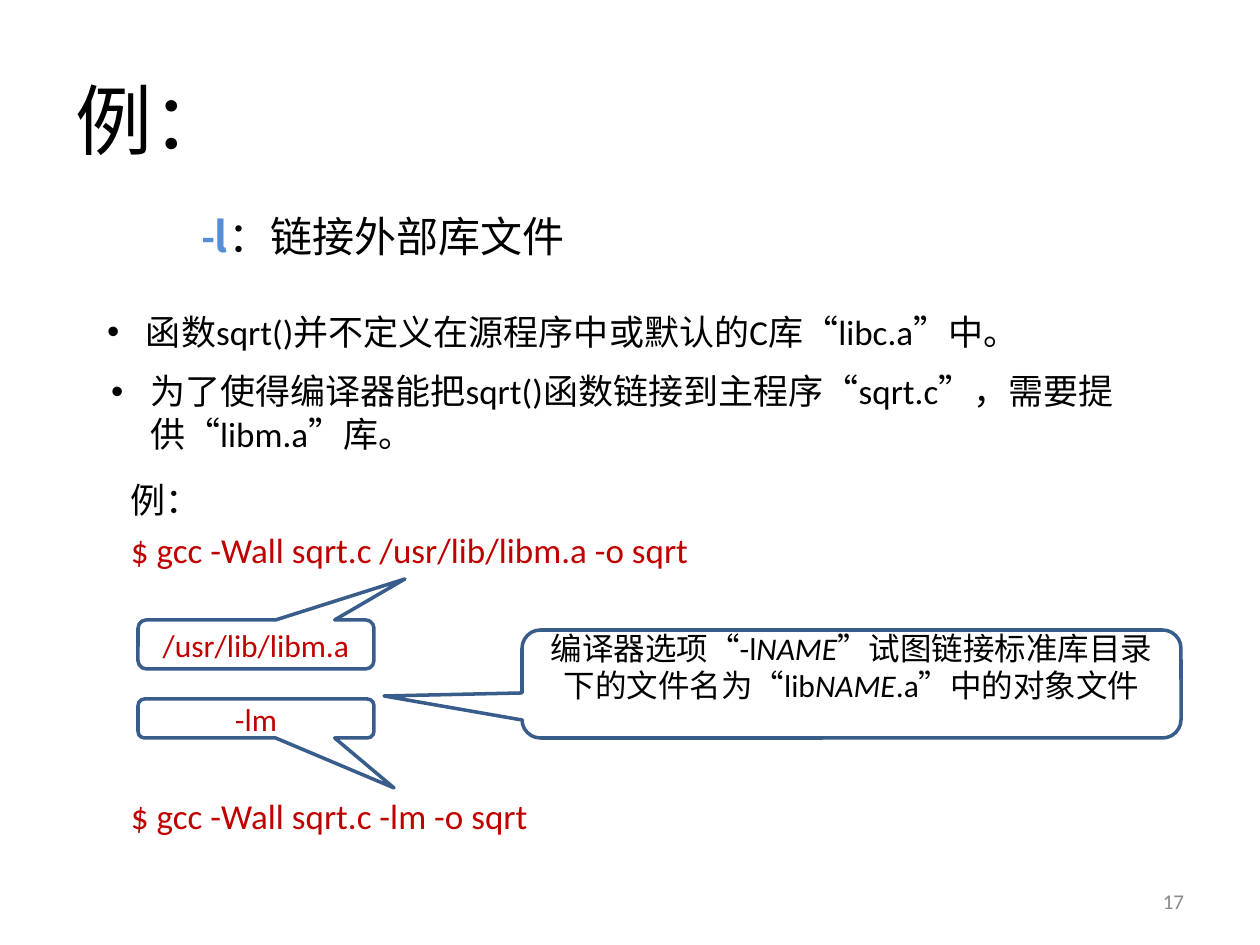
"""Build the slide on linking an outside library with the -l option."""
import pptx
import pptx.util
import pptx.dml.color
import pptx.enum.lang
import pptx.enum.shapes
import pptx.enum.text
import pptx.oxml
import pptx.oxml.ns

RGB = pptx.dml.color.RGBColor
BLACK = RGB(0, 0, 0)
RED = RGB(0xC0, 0, 0)
BLUE = RGB(0x55, 0x8E, 0xD5)
EDGE = RGB(0x38, 0x5D, 0x8A)
GREY = RGB(0x89, 0x89, 0x89)
ALIGN = pptx.enum.text.PP_ALIGN
ANCHOR = pptx.enum.text.MSO_ANCHOR
CHINESE = pptx.enum.lang.MSO_LANGUAGE_ID.SIMPLIFIED_CHINESE
SCALE = 914400 / 126


def emu(px):
    """Turn px into EMU."""
    return pptx.util.Emu(round(px * SCALE))


def write(frame, *paras, size=20, font="Calibri", color=BLACK, align=ALIGN.LEFT,
          anchor=ANCHOR.TOP, margins=(13, 6, 13, 6), indent=None, bullet=False,
          spacing=None):
    """Write paragraphs, each a list of (text, format) runs, into a text frame."""
    frame.word_wrap = True
    frame.vertical_anchor = anchor
    (frame.margin_left, frame.margin_top,
     frame.margin_right, frame.margin_bottom) = map(emu, margins)
    for index, runs in enumerate(paras):
        para = frame.add_paragraph() if index else frame.paragraphs[0]
        para.alignment = align
        props = para._p.get_or_add_pPr()
        if index:
            para.space_before = pptx.util.Pt(5)
        if spacing:
            para.line_spacing = spacing
        if indent:
            left, first = indent
            props.set("marL", str(emu(left)))
            props.set("indent", str(emu(first)))
        if bullet:
            for tag, key, value in (("buFont", "typeface", "Arial"), ("buChar", "char", "•")):
                mark = pptx.oxml.parse_xml(
                    f'<a:{tag} {pptx.oxml.ns.nsdecls("a")} {key}="{value}"/>')
                props.append(mark)
        for words, style in runs:
            run = para.add_run()
            run.text = words
            run.font.size = pptx.util.Pt(size)
            run.font.name = style.get("font", font)
            run.font.color.rgb = style.get("color", color)
            run.font.bold = style.get("bold", False)
            run.font.italic = style.get("italic", False)
            run.font.language_id = CHINESE


class Deck:
    """Hold the style and the current slide."""

    def __init__(self, wide, high):
        """Start a deck with one blank slide."""
        self.file = pptx.Presentation()
        self.file.slide_width = emu(wide)
        self.file.slide_height = emu(high)
        self.slide = self.file.slides.add_slide(self.file.slide_layouts[6])
        self.edge, self.width = EDGE, pptx.util.Pt(2)

    def text(self, box, *paras, **style):
        """Add a text box."""
        shape = self.slide.shapes.add_textbox(*map(emu, box))
        write(shape.text_frame, *paras, **style)

    def point(self, box, words):
        """Add a bullet point."""
        self.text(box, [(words, {})], indent=(39, -39), bullet=True)

    def callout(self, box, tip, runs, **style):
        """Add a rounded callout whose tail ends at the tip."""
        shape = self.slide.shapes.add_shape(
            pptx.enum.shapes.MSO_SHAPE.ROUNDED_RECTANGULAR_CALLOUT, *map(emu, box))
        shape.shadow.inherit = False
        shape.fill.background()
        shape.line.color.rgb = self.edge
        shape.line.width = self.width
        left, top, wide, high = box
        shape.adjustments[0] = (tip[0] - left) / wide - 0.5
        shape.adjustments[1] = (tip[1] - top) / high - 0.5
        shape.adjustments[2] = 0.17
        write(shape.text_frame, runs, size=18, align=ALIGN.CENTER,
              anchor=ANCHOR.MIDDLE, **style)

    def save(self):
        """Save the deck."""
        self.file.save("out.pptx")


def main():
    """Build and save the slide."""
    deck = Deck(1260, 945)
    option = {"color": BLUE, "bold": True}
    name = {"italic": True}

    deck.text((63, 63, 1134, 112), [("例：", {})], size=44, font="Arial",
              anchor=ANCHOR.MIDDLE)
    deck.text((126, 214, 1134, 55),
              [("-", option), ("l", {**option, "font": "Noto Sans CJK SC"}),
               ("：链接外部库文件", {})],
              size=24, indent=(102, -39), spacing=0.8)
    deck.point((94, 304, 1113, 59), "函数sqrt()并不定义在源程序中或默认的C库“libc.a”中。")
    deck.point((98, 364, 1113, 98),
               "为了使得编译器能把sqrt()函数链接到主程序“sqrt.c”，需要提供“libm.a”库。")
    deck.text((118, 472, 591, 108), [("例：", {})],
              [("$ gcc -Wall sqrt.c /usr/lib/libm.a -o sqrt", {"color": RED})])
    deck.callout((138, 620, 236, 49), (405, 579), [("/usr/lib/libm.a", {})], color=RED)
    deck.callout((138, 699, 236, 39), (394, 788), [("-lm", {})], color=RED)
    deck.text((118, 788, 591, 59), [("$ gcc -Wall sqrt.c -lm -o sqrt", {})], color=RED)
    deck.callout((522, 630, 659, 108), (384, 696),
                 [("编译器选项“-l", {}), ("NAME", name),
                  ("”试图链接标准库目录下的文件名为“lib", {}), ("NAME", name),
                  (".a”中的对象文件", {})],
                 margins=(13, 0, 13, 35))
    deck.text((903, 876, 294, 50), [("17", {})], size=12, color=GREY,
              align=ALIGN.RIGHT, anchor=ANCHOR.MIDDLE)
    deck.save()


if __name__ == "__main__":
    main()
